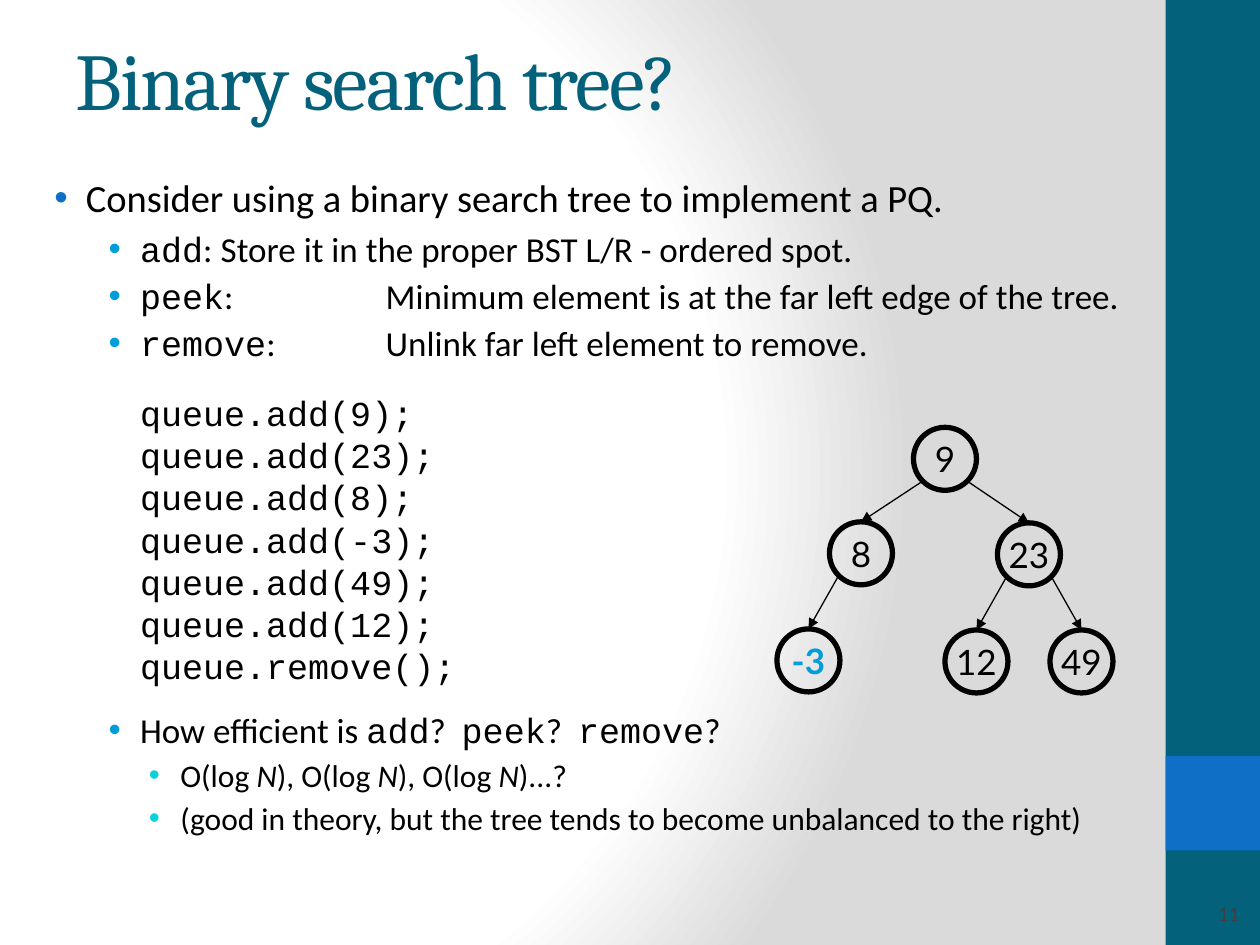
from dataclasses import dataclass, field
from typing import Any

from lxml import etree
from pptx import Presentation
from pptx.dml.color import RGBColor
from pptx.enum.shapes import MSO_CONNECTOR, MSO_SHAPE
from pptx.enum.text import MSO_ANCHOR, PP_ALIGN
from pptx.oxml import parse_xml
from pptx.oxml.ns import qn
from pptx.util import Inches, Pt

RECT, OVAL = MSO_SHAPE.RECTANGLE, MSO_SHAPE.OVAL
LINE = MSO_CONNECTOR.STRAIGHT
TOP, MID = MSO_ANCHOR.TOP, MSO_ANCHOR.MIDDLE
LEFT, CENTER, RIGHT = PP_ALIGN.LEFT, PP_ALIGN.CENTER, PP_ALIGN.RIGHT
UNIT = Inches(1) // 12
NODE = 6


@dataclass(frozen=True)
class Theme:
    teal: str = "04617B"
    blue: str = "0F6FC6"
    sky: str = "009DD9"
    aqua: str = "0BD0D9"
    black: str = "000000"
    grey: str = "404040"
    white: str = "FFFFFF"
    edge: str = "DADADA"
    head: str = "Cambria"
    body: str = "Calibri"
    code: str = "Courier New"
    node: str = "Lato"
    title: int = 46
    sizes: tuple[int, ...] = (22, 20, 18)
    label: int = 20
    page: int = 12


T = Theme()
BULLETS = (T.blue, T.sky, T.aqua)
INDENTS = (0.5, 0.93, 1.25)
TABS = (0.94, 1.25, 1.57, 2.88)


@dataclass(frozen=True)
class Span:
    text: str
    font: str = T.body
    italic: bool = False


@dataclass(frozen=True)
class Para:
    level: int
    spans: list[Span]
    fmt: dict[str, Any] = field(default_factory=lambda: {"space_before": Pt(3)})
    bullet: bool = True


@dataclass(frozen=True)
class Node:
    text: str
    col: float
    row: float
    up: str = ""
    color: str = T.black
    bold: bool = False


def code(text: str) -> Span:
    return Span(text, T.code)


CALLS = ("add(9)", "add(23)", "add(8)", "add(-3)", "add(49)", "add(12)", "remove()")
LOGS = [Span(text, italic=text == "N") for text in
        ("O(log ", "N", "), O(log ", "N", "), O(log ", "N", ")...?")]
PARAS = [
    Para(0, [Span("Consider using a binary search tree to implement a PQ.")], {}),
    Para(1, [code("add"), Span(":\tStore it in the proper BST L/R - ordered spot.")],
         {"space_before": Pt(4)}),
    Para(1, [code("peek"), Span(":\tMinimum element is at the far left edge of the tree.")]),
    Para(1, [code("remove"), Span(":\tUnlink far left element to remove.")]),
    Para(1, [code("\n".join(f"queue.{call};" for call in CALLS))],
         {"space_before": Pt(16), "line_spacing": Pt(24)}, False),
    Para(1, [Span("How efficient is "), code("add"), Span("?  "), code("peek"),
             Span("?  "), code("remove"), Span("?")], {"space_before": Pt(13)}),
    Para(2, LOGS),
    Para(2, [Span("(good in theory, but the tree tends to become unbalanced to the right)")]),
]
NODES = [
    Node("9", 87, 40.7),
    Node("8", 79, 49.7, "9"),
    Node("23", 95, 49.8, "9"),
    Node("-3", 74, 59.9, "8", T.sky, True),
    Node("12", 90, 60, "23"),
    Node("49", 100, 60, "23"),
]


def span(value: float) -> int:
    return round(value * UNIT)


def rgb(value: str) -> RGBColor:
    return RGBColor.from_string(value)


def put(item: Any, fmt: dict[str, Any]) -> None:
    for name, value in fmt.items():
        setattr(item, name, value)


def write(para: Any, text: str, name: str, size: float, color: str, **more: Any) -> Any:
    for count, part in enumerate(text.split("\n")):
        if count:
            para.add_line_break()
        run = para.add_run()
        run.text = part
        put(run.font, {"name": name, "size": Pt(size), **more})
        run.font.color.rgb = rgb(color)
    return run


def box(slide: Any, col: float, row: float, wide: float, high: float, anchor: Any) -> Any:
    frame = slide.shapes.add_textbox(*map(span, (col, row, wide, high))).text_frame
    put(frame, {"word_wrap": True, "vertical_anchor": anchor})
    return frame


def band(slide: Any, row: float, high: float, color: str) -> None:
    shape = slide.shapes.add_shape(RECT, *map(span, (111, row, 9, high)))
    shape.shadow.inherit = False
    shape.fill.solid()
    shape.fill.fore_color.rgb = rgb(color)
    shape.line.fill.background()


def back(slide: Any) -> None:
    fill = slide.background.fill
    fill.solid()
    props = slide.background._cSld.bg.bgPr
    old = props.find(qn("a:solidFill"))
    stops = "".join(f'<a:gs pos="{spot}"><a:srgbClr val="{color}"/></a:gs>' for spot, color in
                    ((0, T.white), (75000, T.white), (100000, T.edge)))
    props.replace(old, parse_xml(
        '<a:gradFill xmlns:a="http://schemas.openxmlformats.org/drawingml/2006/main" '
        f'rotWithShape="1"><a:gsLst>{stops}</a:gsLst><a:path path="circle">'
        '<a:fillToRect l="20000" t="50000" r="100000" b="50000"/></a:path></a:gradFill>'))


def list_style(para: Any, item: Para) -> None:
    props = para._p.get_or_add_pPr()
    props.set("marL", str(Inches(INDENTS[item.level])))
    props.set("indent", str(Inches(-0.25 if item.bullet else 0)))
    if item.bullet:
        tint = etree.SubElement(props, qn("a:buClr"))
        etree.SubElement(tint, qn("a:srgbClr"), val=BULLETS[item.level])
        etree.SubElement(props, qn("a:buFont"), typeface="Arial")
        etree.SubElement(props, qn("a:buChar"), char="•")
    else:
        etree.SubElement(props, qn("a:buNone"))
    stops = etree.SubElement(props, qn("a:tabLst"))
    for stop in TABS:
        etree.SubElement(stops, qn("a:tab"), pos=str(Inches(stop)), algn="l")


def body(slide: Any) -> None:
    frame = box(slide, 1, 16, 113, 68, TOP)
    for count, item in enumerate(PARAS):
        para = frame.add_paragraph() if count else frame.paragraphs[0]
        put(para, {"level": item.level, **item.fmt})
        list_style(para, item)
        for part in item.spans:
            write(para, part.text, part.font, T.sizes[item.level], T.black, italic=part.italic)


def draw_node(slide: Any, node: Node) -> Any:
    shape = slide.shapes.add_shape(OVAL, *map(span, (node.col, node.row, NODE, NODE)))
    shape.shadow.inherit = False
    shape.fill.background()
    shape.line.color.rgb = rgb(T.black)
    shape.line.width = Pt(3)
    frame = shape.text_frame
    put(frame, {"word_wrap": False, "vertical_anchor": MID, "margin_left": 0,
                "margin_right": 0, "margin_top": 0, "margin_bottom": 0})
    para = frame.paragraphs[0]
    para.alignment = CENTER
    write(para, node.text, T.node, T.label, node.color, bold=node.bold)
    return shape


def link(slide: Any, above: Node, below: Node, child: Any) -> None:
    reach = NODE / 2 * 0.71
    side = -reach if below.col < above.col else reach
    start = (above.col + NODE / 2 + side, above.row + NODE / 2 + reach)
    end = (below.col + NODE / 2, below.row)
    line = slide.shapes.add_connector(LINE, *map(span, start + end))
    line.end_connect(child, 0)
    line.line.color.rgb = rgb(T.black)
    line.line.width = Pt(0.75)
    etree.SubElement(line.line._get_or_add_ln(), qn("a:tailEnd"), type="triangle")
    etree.SubElement(line._element.spPr, qn("a:effectLst"))


def main() -> None:
    deck = Presentation()
    put(deck, {"slide_width": Inches(10), "slide_height": Inches(7.5)})
    slide = deck.slides.add_slide(deck.slide_layouts[6])
    back(slide)
    band(slide, 0, 90, T.teal)
    band(slide, 72, 9, T.blue)
    title = box(slide, 6, 0, 100, 15, MID).paragraphs[0]
    head = write(title, "Binary search tree?", T.head, T.title, T.teal)
    head.font._element.set("spc", "-100")
    body(slide)
    shapes = {node.text: draw_node(slide, node) for node in NODES}
    known = {node.text: node for node in NODES}
    for node in NODES:
        if node.up:
            link(slide, known[node.up], node, shapes[node.text])
    page = box(slide, 111, 85, 8.2, 4, MID).paragraphs[0]
    page.alignment = RIGHT
    write(page, "11", T.body, T.page, T.grey)
    deck.save("out.pptx")


if __name__ == "__main__":
    main()
